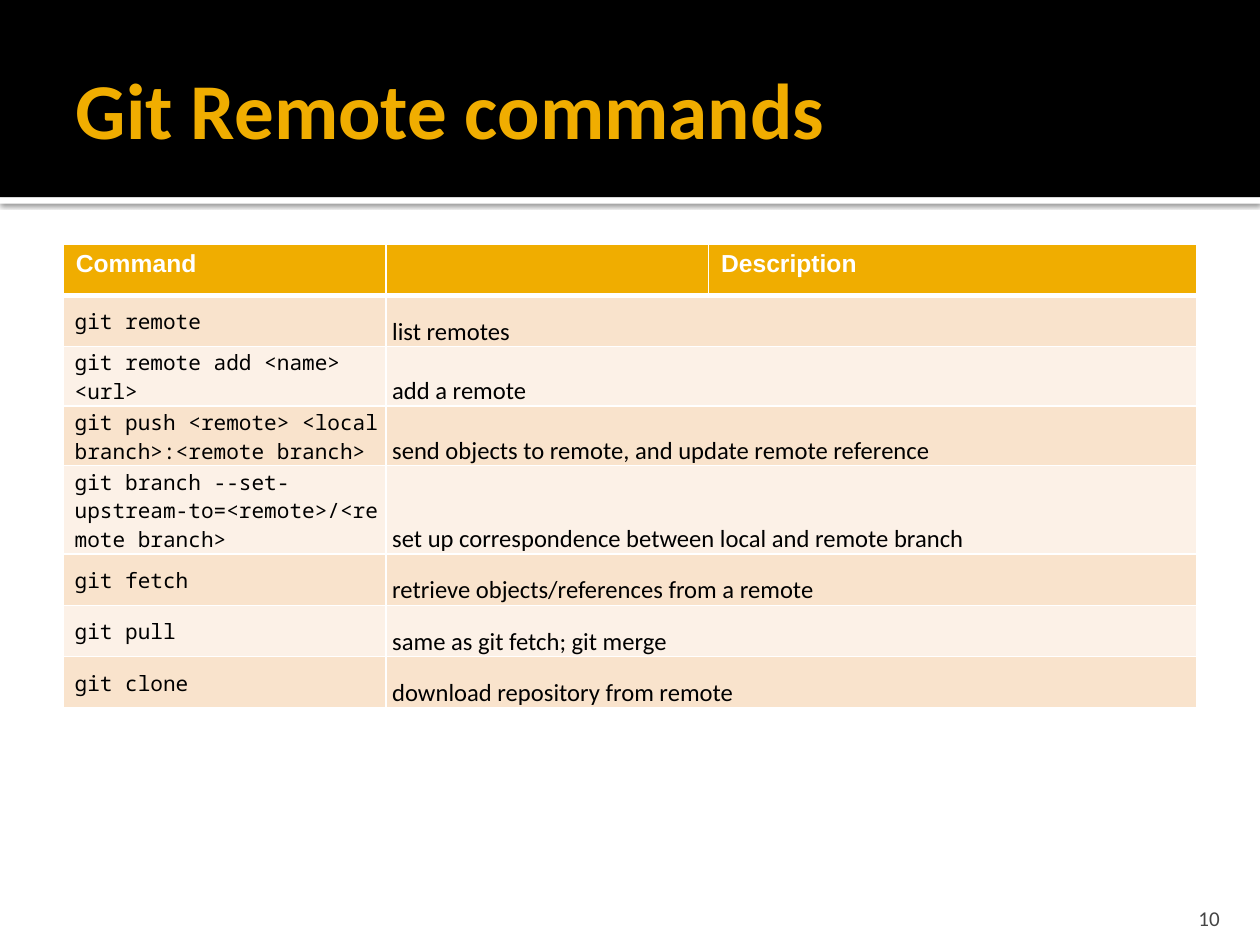
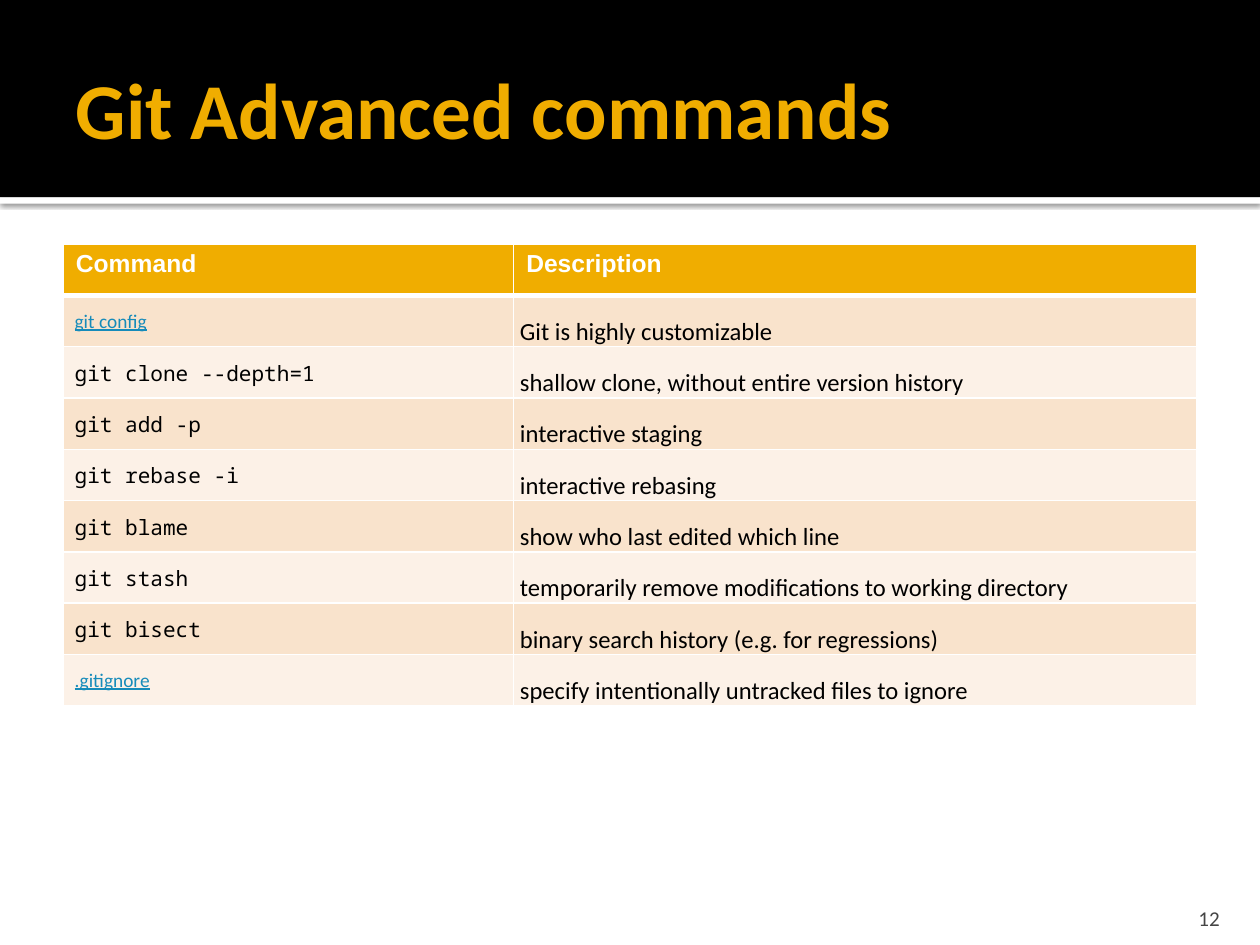
import dataclasses

import lxml.etree
import pptx
import pptx.dml.color
import pptx.enum.shapes
import pptx.enum.text
import pptx.oxml
import pptx.oxml.ns
import pptx.shapes.autoshape
import pptx.slide
import pptx.table
import pptx.text.text
import pptx.util

Inches = pptx.util.Inches
Anchor = pptx.enum.text.MSO_ANCHOR
Align = pptx.enum.text.PP_ALIGN


@dataclasses.dataclass(frozen=True)
class Style:
    font: str
    size: float
    color: str
    bold: bool = False
    under: bool = False


@dataclasses.dataclass(frozen=True)
class Theme:
    black: str = "000000"
    white: str = "FFFFFF"
    gold: str = "F0AD00"
    bands: tuple[str, str] = ("F9E3CC", "FCF1E7")
    thin: float = 1
    thick: float = 3
    title: Style = Style("Calibri", 45, "F0AD00", bold=True)
    head: Style = Style("Arial", 14, "FFFFFF", bold=True)
    code: Style = Style("Noto Sans Mono", 12, "000000")
    link: Style = Style("Calibri", 11, "168BBA", under=True)
    text: Style = Style("Calibri", 14, "000000")
    page: Style = Style("Calibri", 12, "454545")


@dataclasses.dataclass(frozen=True)
class Entry:
    code: str
    text: str
    lines: int = 1
    link: bool = False


@dataclasses.dataclass(frozen=True)
class Page:
    title: str
    number: str
    heads: tuple[str, ...]
    widths: tuple[float, ...]
    rows: tuple[Entry, ...]


THEME = Theme()
WIDE, HIGH = 9.96, 7.47
LEFT, SPAN = 0.5, 8.96
BAND = 1.56
ROW = 3.65 / 9
LINE, PAD = 0.23, 0.01

PAGES = (
    Page(
        "Git Remote commands", "10",
        ("Command", "", "Description"), (2.55, 2.55, 3.86),
        (
            Entry("git remote", "list remotes"),
            Entry("git remote add <name> <url>", "add a remote", lines=2),
            Entry("git push <remote> <local branch>:<remote branch>",
                  "send objects to remote, and update remote reference",
                  lines=2),
            Entry("git branch --set-upstream-to=<remote>/<remote branch>",
                  "set up correspondence between local and remote branch",
                  lines=3),
            Entry("git fetch", "retrieve objects/references from a remote"),
            Entry("git pull", "same as git fetch; git merge"),
            Entry("git clone", "download repository from remote"),
        ),
    ),
    Page(
        "Git Advanced commands", "12",
        ("Command", "Description"), (3.56, 5.4),
        (
            Entry("git config", "Git is highly customizable", link=True),
            Entry("git clone --depth=1",
                  "shallow clone, without entire version history"),
            Entry("git add -p", "interactive staging"),
            Entry("git rebase -i", "interactive rebasing"),
            Entry("git blame", "show who last edited which line"),
            Entry("git stash",
                  "temporarily remove modifications to working directory"),
            Entry("git bisect", "binary search history (e.g. for regressions)"),
            Entry(".gitignore",
                  "specify intentionally untracked files to ignore", link=True),
        ),
    ),
)


def shade(code: str) -> pptx.dml.color.RGBColor:
    return pptx.dml.color.RGBColor.from_string(code)


def write(frame: pptx.text.text.TextFrame, text: str, style: Style,
          align: Align = Align.LEFT) -> None:
    para = frame.paragraphs[0]
    para.alignment = align
    run = para.add_run()
    run.text = text
    font = run.font
    font.name, font.size = style.font, pptx.util.Pt(style.size)
    font.bold, font.underline = style.bold, style.under
    font.color.rgb = shade(style.color)


def inset(item: pptx.text.text.TextFrame | pptx.table._Cell, left: float,
          top: float, right: float, low: float, anchor: Anchor) -> None:
    item.margin_left, item.margin_top = Inches(left), Inches(top)
    item.margin_right, item.margin_bottom = Inches(right), Inches(low)
    item.vertical_anchor = anchor


def block(slide: pptx.slide.Slide, top: float, high: float,
          color: str) -> pptx.shapes.autoshape.Shape:
    shape = slide.shapes.add_shape(
        pptx.enum.shapes.MSO_SHAPE.RECTANGLE,
        0, Inches(top), Inches(WIDE), Inches(high))
    shape.fill.solid()
    shape.fill.fore_color.rgb = shade(color)
    shape.line.fill.background()
    shape.shadow.inherit = False
    return shape


def glow(shape: pptx.shapes.autoshape.Shape) -> None:
    space = pptx.oxml.ns.nsdecls("a")
    shape.element.spPr.find(pptx.oxml.ns.qn("a:effectLst")).append(
        pptx.oxml.parse_xml(
            f'<a:outerShdw {space} blurRad="{pptx.util.Pt(2.5)}" '
            f'dist="{pptx.util.Pt(0.8)}" dir="5400000" rotWithShape="0">'
            f'<a:srgbClr val="{THEME.black}"><a:alpha val="60000"/>'
            '</a:srgbClr></a:outerShdw>'))


def frame(slide: pptx.slide.Slide, page: Page) -> None:
    glow(block(slide, BAND, 0.05, THEME.white))
    block(slide, 0, BAND, THEME.black)

    title = slide.shapes.title
    title.element.getparent().append(title.element)
    title.left, title.top = Inches(LEFT), Inches(0.17)
    title.width, title.height = Inches(SPAN), Inches(1.36)
    title.text_frame.auto_size = pptx.enum.text.MSO_AUTO_SIZE.NONE
    inset(title.text_frame, 0.1, 0.05, 0.05, 0.05, Anchor.MIDDLE)
    write(title.text_frame, page.title, THEME.title)

    foot = slide.shapes.add_textbox(
        Inches(8.94), Inches(7.06), Inches(0.8), Inches(0.3)).text_frame
    foot.word_wrap = True
    inset(foot, 0.1, 0.05, 0.1, 0, Anchor.BOTTOM)
    write(foot, page.number, THEME.page, Align.RIGHT)


def paint(cell: pptx.table._Cell, color: str, top: float, low: float) -> None:
    props = cell._tc.get_or_add_tcPr()
    sides = {"L": THEME.thin, "R": THEME.thin, "T": top, "B": low}
    for side, size in sides.items():
        line = lxml.etree.SubElement(
            props, pptx.oxml.ns.qn(f"a:ln{side}"), w=str(pptx.util.Pt(size)))
        fill = lxml.etree.SubElement(line, pptx.oxml.ns.qn("a:solidFill"))
        lxml.etree.SubElement(
            fill, pptx.oxml.ns.qn("a:srgbClr"), val=THEME.white)
    cell.fill.solid()
    cell.fill.fore_color.rgb = shade(color)


def grid(slide: pptx.slide.Slide, page: Page) -> None:
    highs = [ROW] + [max(ROW, LINE * entry.lines + PAD) for entry in page.rows]
    table = slide.shapes.add_table(
        len(highs), len(page.widths), Inches(LEFT), Inches(1.93),
        Inches(SPAN), Inches(sum(highs))).table
    table.horz_banding = False
    for col, width in zip(table.columns, page.widths):
        col.width = Inches(width)
    for row, high in zip(table.rows, highs):
        row.height = Inches(high)

    for cell, head in zip(table.rows[0].cells, page.heads):
        paint(cell, THEME.gold, THEME.thin, THEME.thick)
        if head:
            write(cell.text_frame, head, THEME.head)

    last = len(page.widths) - 1
    for num, entry in enumerate(page.rows, 1):
        for cell in table.rows[num].cells:
            paint(cell, THEME.bands[(num - 1) % 2],
                  THEME.thick if num == 1 else THEME.thin, THEME.thin)
        code, text = table.cell(num, 0), table.cell(num, 1)
        if last > 1:
            text.merge(table.cell(num, last))
        inset(code, 0.09, 0.01, 0.01, 0, Anchor.MIDDLE)
        inset(text, 0.05, 0.01, 0.01, 0, Anchor.BOTTOM)
        write(code.text_frame, entry.code,
              THEME.link if entry.link else THEME.code)
        write(text.text_frame, entry.text, THEME.text)


def main() -> None:
    deck = pptx.Presentation()
    deck.slide_width, deck.slide_height = Inches(WIDE), Inches(HIGH)
    for page in PAGES:
        slide = deck.slides.add_slide(deck.slide_layouts[5])
        frame(slide, page)
        grid(slide, page)
    deck.save("out.pptx")


if __name__ == "__main__":
    main()
